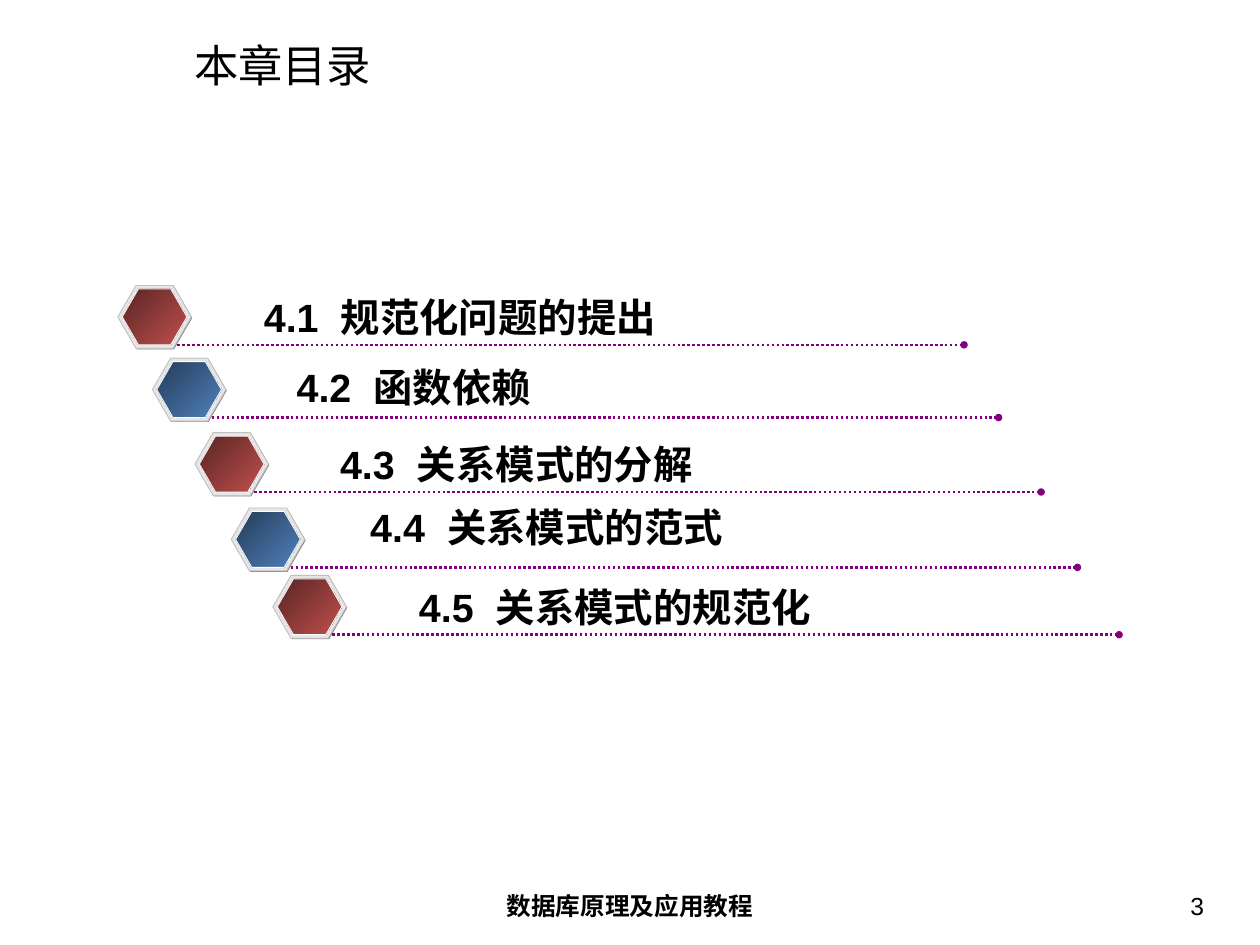
import dataclasses

import lxml.etree
import pptx
import pptx.dml.color
import pptx.enum.dml
import pptx.enum.shapes
import pptx.enum.text
import pptx.oxml.ns
import pptx.util

Inches = pptx.util.Inches
Pt = pptx.util.Pt
Align = pptx.enum.text.PP_ALIGN
Anchor = pptx.enum.text.MSO_ANCHOR


@dataclasses.dataclass(frozen=True)
class Theme:
    font: str = "Arial"
    text: str = "000000"
    rule: str = "800080"
    badge_shadow: str = "808080"
    badge_rim: str = "E6E6E6"
    badge_edge: str = "C0C0C0"
    badge_inner_edge: str = "FFFFFF"
    red: tuple = ("592524", "C0504D")
    blue: tuple = ("253C57", "4F81BD")
    title_size: int = 36
    entry_size: int = 32
    footer_size: int = 20
    number_gap: int = 9


def rgb(value):
    return pptx.dml.color.RGBColor.from_string(value)


class ContentsSlide:
    def __init__(self, presentation, theme):
        self.theme = theme
        self.slide = presentation.slides.add_slide(presentation.slide_layouts[5])

    def add_words(self, paragraph, words, size, bold=False):
        run = paragraph.add_run()
        run.text = words
        run.font.name = self.theme.font
        run.font.size = Pt(size)
        run.font.bold = bold
        run.font.color.rgb = rgb(self.theme.text)
        return run

    def set_frame(self, frame, inset, anchor=Anchor.TOP, wrap=True):
        frame.word_wrap = wrap
        frame.auto_size = pptx.enum.text.MSO_AUTO_SIZE.NONE
        frame.vertical_anchor = anchor
        frame.margin_left = frame.margin_right = Inches(inset)
        frame.margin_top = frame.margin_bottom = Inches(inset / 2)

    def title(self, words, left, top, width, height):
        heading = self.slide.shapes.title
        heading.left, heading.top = Inches(left), Inches(top)
        heading.width, heading.height = Inches(width), Inches(height)
        self.set_frame(heading.text_frame, 0.14, Anchor.MIDDLE)
        paragraph = heading.text_frame.paragraphs[0]
        paragraph.alignment = Align.LEFT
        self.add_words(paragraph, words, self.theme.title_size)

    def footer(self, words, left, width, align, bold=False):
        note = self.slide.shapes.add_textbox(
            Inches(left), Inches(9.98), Inches(width), Inches(0.55))
        self.set_frame(note.text_frame, 0.14)
        paragraph = note.text_frame.paragraphs[0]
        paragraph.alignment = align
        self.add_words(paragraph, words, self.theme.footer_size, bold)

    def hexagon(self, group, left, top, width, height, fill, edge=None):
        badge = group.shapes.add_shape(
            pptx.enum.shapes.MSO_SHAPE.HEXAGON,
            Inches(left), Inches(top), Inches(width), Inches(height))
        badge.adjustments[0], badge.adjustments[1] = 0.289, 1.155
        badge.shadow.inherit = False
        if isinstance(fill, tuple):
            badge.fill.gradient()
            badge.fill.gradient_angle = 315
            for stop, shade in zip(badge.fill.gradient_stops, fill):
                stop.color.rgb = rgb(shade)
        else:
            badge.fill.solid()
            badge.fill.fore_color.rgb = rgb(fill)
        if edge:
            badge.line.color.rgb = rgb(edge)
            badge.line.width = Pt(0.75)
        else:
            badge.line.fill.background()

    def rule(self, group, left, top, length):
        rule = group.shapes.add_connector(
            pptx.enum.shapes.MSO_CONNECTOR.STRAIGHT,
            Inches(left), Inches(top), Inches(left + length), Inches(top))
        rule.line.color.rgb = rgb(self.theme.rule)
        rule.line.width = Pt(2)
        rule.line.dash_style = pptx.enum.dml.MSO_LINE.ROUND_DOT
        qn = pptx.oxml.ns.qn
        properties = rule._element.spPr
        outline = properties.find(qn("a:ln"))
        lxml.etree.SubElement(outline, qn("a:tailEnd"), type="oval")
        lxml.etree.SubElement(properties, qn("a:effectLst"))

    def entry_text(self, group, number, topic, left, top, width):
        label = group.shapes.add_textbox(
            Inches(left), Inches(top), Inches(width), Inches(0.64))
        self.set_frame(label.text_frame, 0.1, wrap=False)
        paragraph = label.text_frame.paragraphs[0]
        size = self.theme.entry_size
        self.add_words(paragraph, number, size, True)
        gap = self.add_words(paragraph, " ", size, True)
        gap.font._element.set("spc", str(self.theme.number_gap * 100))
        self.add_words(paragraph, topic, size, True)

    def entry(self, number, topic, left, top, text_left, text_top, text_width, shades):
        theme = self.theme
        group = self.slide.shapes.add_group_shape()
        self.hexagon(group, left + 0.01, top + 0.01, 0.83, 0.71, theme.badge_shadow)
        self.hexagon(group, left, top, 0.83, 0.71, theme.badge_rim, theme.badge_edge)
        self.hexagon(group, left + 0.05, top + 0.04, 0.73, 0.63, shades,
                     theme.badge_inner_edge)
        self.rule(group, left + 0.67, top + 0.67, 8.88)
        self.entry_text(group, number, topic, text_left, text_top, text_width)


def main():
    presentation = pptx.Presentation()
    presentation.slide_width = Inches(14.22)
    presentation.slide_height = Inches(10.66)
    theme = Theme()
    contents = ContentsSlide(presentation, theme)
    contents.title("本章目录", 2.05, 0.45, 11.83, 0.57)
    contents.footer("数据库原理及应用教程", 4.86, 4.5, Align.CENTER, True)
    contents.footer("3", 10.41, 3.32, Align.RIGHT)
    sections = [
        ("规范化问题的提出", 1.33, 3.22, 2.88, 3.26, 4.61),
        ("函数依赖", 1.72, 4.04, 3.25, 4.05, 2.83),
        ("关系模式的分解", 2.2, 4.88, 3.74, 4.92, 4.16),
        ("关系模式的范式", 2.61, 5.73, 4.08, 5.63, 4.16),
        ("关系模式的规范化", 3.08, 6.49, 4.63, 6.53, 4.61),
    ]
    for index, (topic, *places) in enumerate(sections):
        shades = theme.blue if index % 2 else theme.red
        contents.entry(f"4.{index + 1}", topic, *places, shades)
    presentation.save("out.pptx")


if __name__ == "__main__":
    main()
